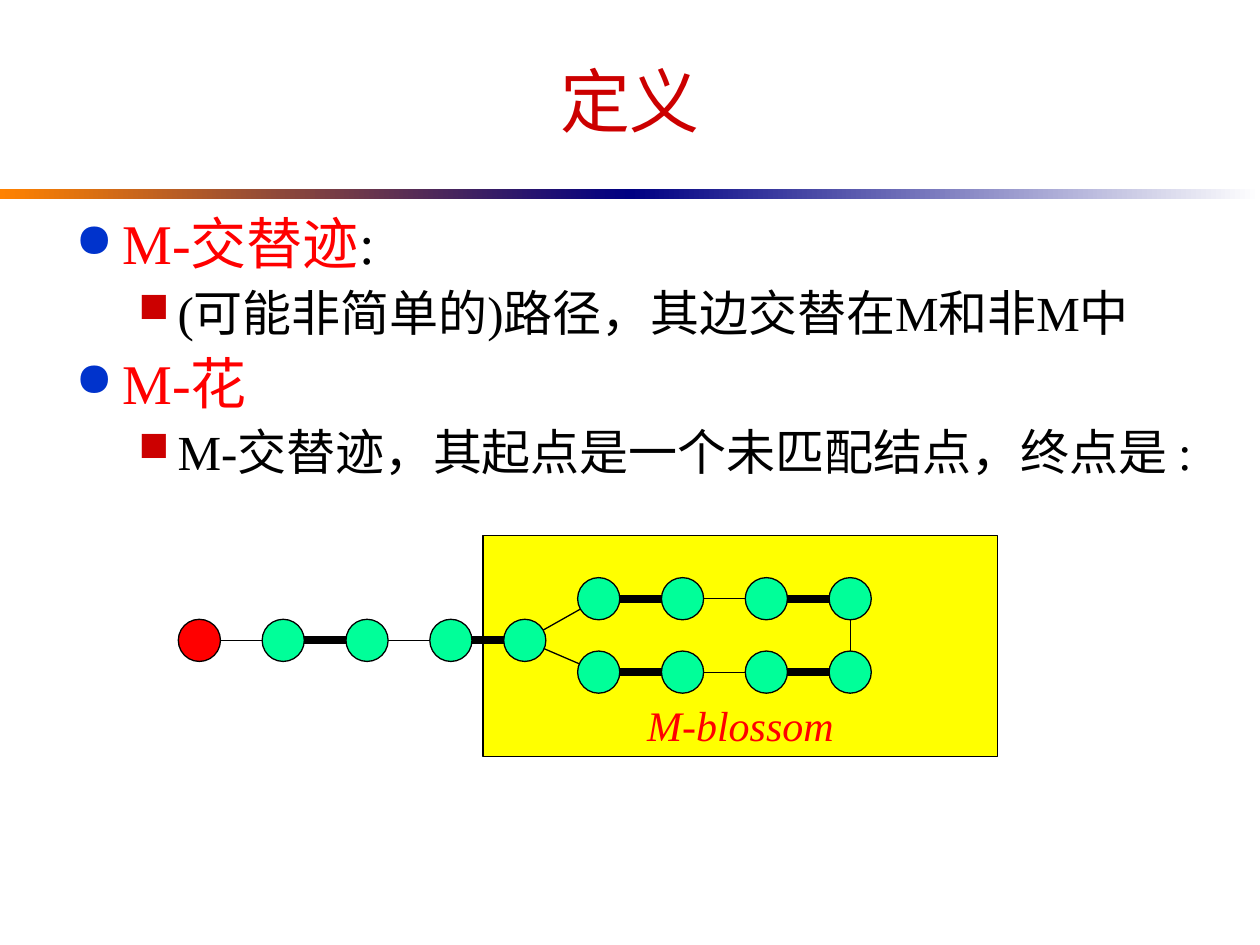
"""Build a slide that defines alternating trails and blossoms in a matching."""
from dataclasses import dataclass
from itertools import pairwise

from lxml import etree
from pptx import Presentation
from pptx.dml.color import RGBColor
from pptx.enum.shapes import MSO_CONNECTOR, MSO_SHAPE
from pptx.enum.text import MSO_ANCHOR, PP_ALIGN
from pptx.oxml.ns import qn
from pptx.util import Cm, Pt

RECTANGLE, OVAL = MSO_SHAPE.RECTANGLE, MSO_SHAPE.OVAL
STRAIGHT = MSO_CONNECTOR.STRAIGHT
CENTER, LEFT = PP_ALIGN.CENTER, PP_ALIGN.LEFT
TOP, MIDDLE, BOTTOM = MSO_ANCHOR.TOP, MSO_ANCHOR.MIDDLE, MSO_ANCHOR.BOTTOM


@dataclass(frozen=True)
class Theme:
    heading_font: str = "Arial"
    body_font: str = "Times New Roman"
    title_size: float = 40
    term_size: float = 32
    detail_size: float = 28
    label_size: float = 24
    thin: float = 0.75
    thick: float = 4.5
    black: str = "000000"
    white: str = "FFFFFF"
    red: str = "FF0000"
    dark_red: str = "CC0000"
    blue: str = "0033CC"
    navy: str = "000082"
    orange: str = "FF8200"
    yellow: str = "FFFF00"
    green: str = "00FF99"


@dataclass(frozen=True)
class Bullet:
    symbol: str
    color: str
    level: int
    margin: float
    hanging: float
    space_before: float


class SlideBuilder:
    def __init__(self, page, theme):
        self.page = page
        self.theme = theme

    def shape(self, kind, left, top, width, height):
        shape = self.page.shapes.add_shape(kind, Cm(left), Cm(top), Cm(width), Cm(height))
        shape.shadow.inherit = False
        return shape

    def outlined(self, kind, left, top, width, height, color):
        shape = self.shape(kind, left, top, width, height)
        shape.fill.solid()
        shape.fill.fore_color.rgb = RGBColor.from_string(color)
        shape.line.color.rgb = RGBColor.from_string(self.theme.black)
        shape.line.width = Pt(self.theme.thin)
        return shape

    def gradient_bar(self, left, top, width, height, colors):
        bar = self.shape(RECTANGLE, left, top, width, height)
        bar.line.fill.background()
        bar.fill.gradient()
        bar.fill.gradient_angle = 0
        for stop, color in zip(bar.fill.gradient_stops, colors):
            stop.color.rgb = RGBColor.from_string(color)

    def edge(self, start, end, weight):
        edge = self.page.shapes.add_connector(STRAIGHT, *map(Cm, start + end))
        edge.line.color.rgb = RGBColor.from_string(self.theme.black)
        edge.line.width = Pt(weight)
        etree.SubElement(edge._element.spPr, qn("a:effectLst"))

    def node(self, center, diameter, color):
        x, y = center
        self.outlined(OVAL, x - diameter / 2, y - diameter / 2, diameter, diameter, color)

    def text_box(self, left, top, width, height, anchor):
        box = self.page.shapes.add_textbox(Cm(left), Cm(top), Cm(width), Cm(height))
        box.text_frame.word_wrap = True
        box.text_frame.vertical_anchor = anchor
        return box.text_frame

    def add_runs(self, para, runs, size, font, align=LEFT, italic=False):
        para.alignment = align
        for text, color in runs:
            span = para.add_run()
            span.text = text
            span.font.name = font
            span.font.size = Pt(size)
            span.font.italic = italic
            span.font.color.rgb = RGBColor.from_string(color)

    def bullet(self, para, style):
        para.level = style.level
        para.line_spacing = 0.9
        para.space_before = Pt(style.space_before)
        properties = para._p.get_or_add_pPr()
        properties.set("marL", str(Cm(style.margin)))
        properties.set("indent", str(-Cm(style.hanging)))
        color = etree.SubElement(properties, qn("a:buClr"))
        etree.SubElement(color, qn("a:srgbClr"), val=style.color)
        etree.SubElement(properties, qn("a:buSzPct"), val="85000")
        etree.SubElement(properties, qn("a:buChar"), char=style.symbol)


def main():
    theme = Theme()
    deck = Presentation()
    deck.slide_width, deck.slide_height = Cm(25.4), Cm(19.05)
    builder = SlideBuilder(deck.slides.add_slide(deck.slide_layouts[6]), theme)

    half = 12.7
    bar_colors = (theme.orange, theme.navy, theme.white)
    for index, colors in enumerate(pairwise(bar_colors)):
        builder.gradient_bar(index * half, 3.81, half, 0.2, colors)

    blossom = builder.outlined(RECTANGLE, 9.74, 10.8, 10.37, 4.45, theme.yellow).text_frame
    blossom.word_wrap = False
    blossom.vertical_anchor = BOTTOM
    builder.add_runs(blossom.paragraphs[0], [("M-blossom", theme.red)], theme.label_size,
                     theme.body_font, CENTER, italic=True)

    step, diameter = 1.69, 0.85
    stem = [(4.02 + step * index, 12.91) for index in range(4)]
    base = (10.58, 12.91)
    upper, lower = ([(12.07 + step * index, y) for index in range(4)] for y in (12.07, 13.55))
    trail = stem + [base] + upper + lower[::-1] + [base]
    edges = [(start, end, theme.thick if index % 2 else theme.thin)
             for index, (start, end) in enumerate(pairwise(trail))]
    for start, end, weight in sorted(edges, key=lambda edge: -edge[2]):
        builder.edge(start, end, weight)

    title = builder.text_box(1.27, 0.64, 22.86, 2.74, MIDDLE)
    builder.add_runs(title.paragraphs[0], [("定义", theme.dark_red)], theme.title_size,
                     theme.heading_font, CENTER)

    term = Bullet("●", theme.blue, 0, 0.95, 0.95, 8)
    detail = Bullet("■", theme.dark_red, 1, 2.06, 0.79, 7)
    lines = [
        (term, theme.term_size, [("M-交替迹", theme.red), (":", theme.black)]),
        (detail, theme.detail_size, [("(可能非简单的)路径，其边交替在M和非M中", theme.black)]),
        (term, theme.term_size, [("M-花", theme.red)]),
        (detail, theme.detail_size,
         [("M-交替迹，其起点是一个未匹配结点，终点是 :", theme.black)]),
    ]
    body = builder.text_box(1.27, 4.23, 22.86, 8.71, TOP)
    for index, (style, size, runs) in enumerate(lines):
        para = body.add_paragraph() if index else body.paragraphs[0]
        builder.bullet(para, style)
        builder.add_runs(para, runs, size, theme.body_font)

    for index, center in enumerate(trail[:-1]):
        builder.node(center, diameter, theme.green if index else theme.red)

    deck.save("out.pptx")


if __name__ == "__main__":
    main()
